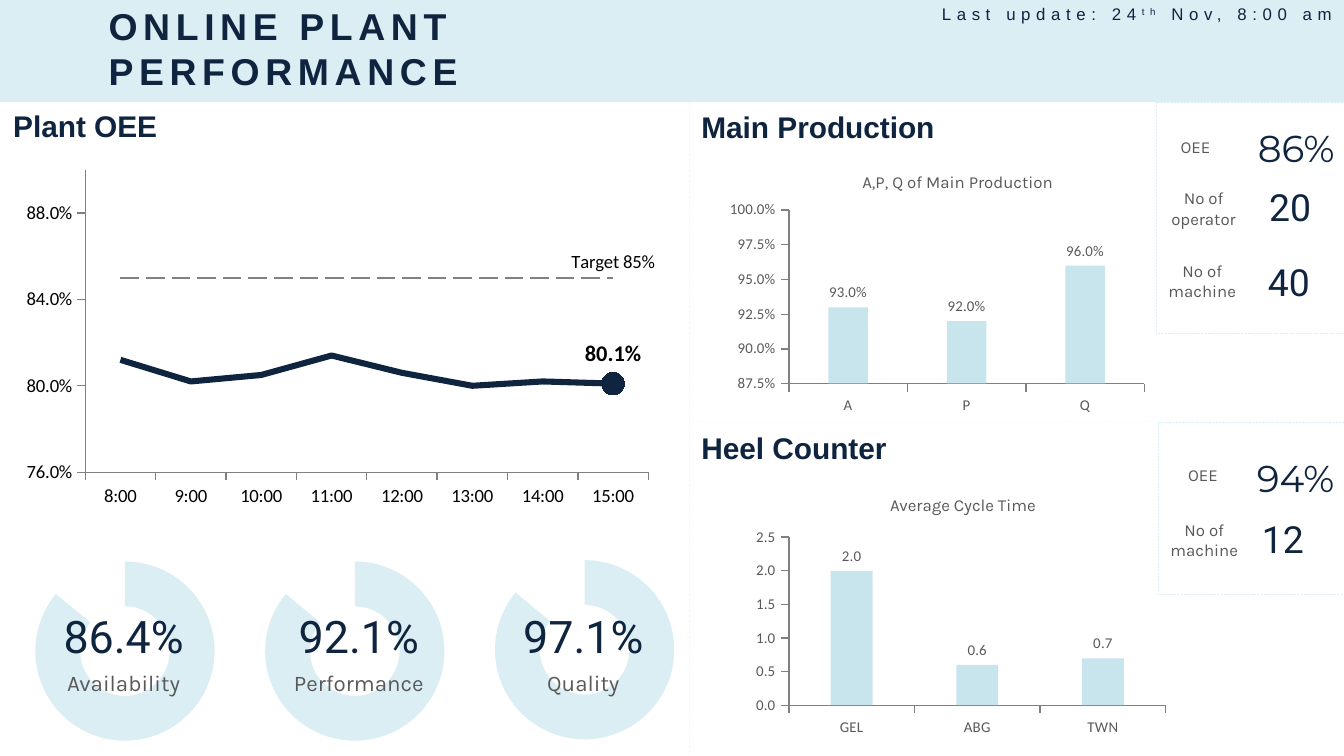
from lxml import etree
from pptx import Presentation
from pptx.chart.data import CategoryChartData
from pptx.dml.color import RGBColor
from pptx.enum.chart import XL_CHART_TYPE as Chart, XL_LABEL_POSITION as LabelPos
from pptx.enum.chart import XL_MARKER_STYLE as Marker, XL_TICK_MARK as Tick
from pptx.enum.dml import MSO_LINE as Dash
from pptx.enum.shapes import MSO_CONNECTOR as Connector, MSO_SHAPE as Shape
from pptx.enum.text import MSO_ANCHOR as Anchor, MSO_AUTO_SIZE as AutoSize, PP_ALIGN as Align
from pptx.oxml import parse_xml
from pptx.oxml.ns import nsdecls, qn
from pptx.util import Emu, Pt

PX = 9144  # 100 px to the inch
SLIDE_WIDTH = 1000
NAVY, GRAY = RGBColor(0x0F, 0x24, 0x3E), RGBColor(0x59, 0x59, 0x59)
PALE, AQUA = RGBColor(0xDB, 0xEE, 0xF4), RGBColor(0x93, 0xCD, 0xDD)
BLACK, AXIS = RGBColor(0, 0, 0), RGBColor(0x80, 0x80, 0x80)

# Text styles: font name, size, colour, bold
STYLES = {
    "title": ("Arial", 20, NAVY, True),
    "heading": ("Arial", 16, NAVY, True),
    "update": ("Arial", 9, NAVY, False),
    "label": ("Karla", 9, GRAY, False),
    "number": ("Roboto", 20, NAVY, False),
    "percent": ("Montserrat", 20, NAVY, False),
    "gauge label": ("Karla", 12, GRAY, False),
    "gauge number": ("Roboto", 24, NAVY, False),
}

# Gauges: caption, value, text left, ring left, ring top
GAUGES = [("Availability", "86.4%", 13, -89, 404),
          ("Performance", "92.1%", 188, 82, 404),
          ("Quality", "97.1%", 355, 253, 403)]
RING = (86, 0, 0, 0, 14)

HEADINGS = [("Plant OEE", (0, 75, 192, 37)),
            ("Main Production", (512, 76, 312, 37)),
            ("Heel Counter", (512, 315, 448, 37))]

# Times of day as fractions of a day
TIMES = [hour / 24 for hour in range(8, 16)]
OEE = (0.812, 0.802, 0.805, 0.814, 0.806, 0.8, 0.802, 0.801)
TARGET = 0.85

# Column charts: box, plot area, number format, overlap, axis (min, max, step), values
COLUMNS = [
    ((543, 384, 338, 174), (0.13, 0.09, 0.83, 0.72), "0.0", 0, (0, 2.5, 0.5),
     {"GEL": 2.0, "ABG": 0.6, "TWN": 0.7}),
    ((543, 143, 309, 166), (0.14, 0.08, 0.86, 0.78), "0.0%", 3, (0.875, 1, 0.025),
     {"A": 0.93, "P": 0.92, "Q": 0.96}),
]
COLUMN_TITLES = [("A,P, Q of Main Production", (606, 123, 213, 25)),
                 ("Average Cycle Time ", (591, 363, 254, 25))]

# Side panels: caption, caption box, value, value style, value box
FACTS = [
    ("OEE", (846, 97, 87, 25), "86%", "percent", (920, 88, 89, 44)),
    ("No of operator", (846, 135, 99, 40), "20", "number", (919, 132, 82, 44)),
    ("No of machine", (844, 189, 101, 40), "40", "number", (911, 188, 96, 44)),
    ("OEE", (824, 341, 142, 25), "94%", "percent", (893, 334, 142, 44)),
    ("No of machine", (846, 382, 100, 40), "12", "number", (919, 379, 71, 44)),
]
PANELS = [(860, 76, 140, 172), (862, 314, 140, 128)]
DIVIDERS = [((513, 75, 513, 564), Dash.LONG_DASH), ((1000, 314, 519, 314), Dash.DASH)]


def emu(box):
    return [Emu(length * PX) for length in box]


def apply(target, values):
    for name, value in values.items():
        setattr(target, name, value)


def add_text(shapes, text, box, style, align=Align.CENTER, anchor=Anchor.TOP, spacing=0):
    """Text is a string or a list of (string, baseline percent) runs."""
    frame = shapes.add_textbox(*emu(box)).text_frame
    apply(frame, {"word_wrap": True, "auto_size": AutoSize.SHAPE_TO_FIT_TEXT,
                  "vertical_anchor": anchor})
    paragraph = frame.paragraphs[0]
    paragraph.alignment = align
    runs = [(text, 0)] if isinstance(text, str) else text
    name, size, color, bold = STYLES[style]
    for content, baseline in runs:
        for index, line in enumerate(content.split("\n")):
            if index:
                paragraph.add_line_break()
            run = paragraph.add_run()
            run.text = line
            apply(run.font, {"name": name, "size": Pt(size), "bold": bold})
            run.font.color.rgb = color
            for key, value in (("spc", spacing * 100), ("baseline", baseline * 1000)):
                if value:
                    run._r.get_or_add_rPr().set(key, str(value))


def set_alpha(element, percent):
    for color in element.iter(qn("a:srgbClr")):
        etree.SubElement(color, qn("a:alpha")).set("val", str(percent * 1000))


def set_line(line, color, width, dash=None):
    line.color.rgb = color
    line.width = Pt(width)
    if dash:
        line.dash_style = dash


def add_chart(kind, box, categories, series, number_format="General", size=10, color=BLACK,
              category_format=None):
    data = CategoryChartData(number_format=number_format)
    data.categories = categories
    if category_format:
        data.categories.number_format = category_format
    for name, values in series.items():
        data.add_series(name, values)
    chart = slide.shapes.add_chart(kind, *emu(box), data).chart
    apply(chart, {"has_legend": False, "has_title": False})
    apply(chart.font, {"name": "Calibri", "size": Pt(size)})
    chart.font.color.rgb = color
    return chart


def set_axes(chart, plot, limits, number_format):
    low, high, step = limits
    apply(chart.value_axis, {"minimum_scale": low, "maximum_scale": high, "major_unit": step})
    apply(chart.value_axis.tick_labels,
          {"number_format": number_format, "number_format_is_linked": False})
    for axis in (chart.category_axis, chart.value_axis):
        apply(axis, {"has_major_gridlines": False, "major_tick_mark": Tick.OUTSIDE,
                     "minor_tick_mark": Tick.NONE})
        set_line(axis.format.line, AXIS, 0.75)
    parts = "".join(f'<c:{key} val="{value}"/>' for key, value in zip("xywh", plot))
    layout = parse_xml(
        f'<c:layout {nsdecls("c")}><c:manualLayout><c:layoutTarget val="inner"/>'
        f'<c:xMode val="edge"/><c:yMode val="edge"/>{parts}</c:manualLayout></c:layout>')
    # The layout is the first child of the plot area
    area = chart._chartSpace.find(".//" + qn("c:plotArea"))
    for old in area.findall(qn("c:layout")):
        area.remove(old)
    area.insert(0, layout)


presentation = Presentation()
presentation.slide_width = Emu(SLIDE_WIDTH * PX)
presentation.slide_height = Emu(SLIDE_WIDTH * PX * 9 // 16)
slide = presentation.slides.add_slide(presentation.slide_layouts[6])

# Gauge rings
for caption, value, text_left, ring_left, ring_top in reversed(GAUGES):
    ring = add_chart(Chart.DOUGHNUT, (ring_left, ring_top, 364, 161), list("12345"),
                     {"Series 1": RING})
    ring.plots[0].vary_by_categories = True
    ring._chartSpace.find(".//" + qn("c:holeSize")).set("val", "70")
    for index, share in enumerate(RING):
        point = ring.plots[0].series[0].points[index]
        point.format.line.fill.background()
        if index:
            point.format.fill.background()
        else:
            point.format.fill.solid()
            point.format.fill.fore_color.rgb = PALE

# Header
header = slide.shapes.add_shape(Shape.RECTANGLE, *emu((0, 0, 1000, 76)))
header.shadow.inherit = False
header.fill.solid()
header.fill.fore_color.rgb = PALE
header.line.fill.background()
add_text(slide.shapes, "ONLINE PLANT \nPERFORMANCE", (71, -3, 937, 77), "title",
         Align.LEFT, Anchor.MIDDLE, 3)
add_text(slide.shapes, [("Last update: 24", 0), ("th", 30), (" Nov, 8:00 am", 0)],
         (691, -2, 334, 25), "update", Align.LEFT, Anchor.MIDDLE, 3)

# Plant OEE line chart
trend = add_chart(Chart.LINE, (-3, 113, 511, 268), TIMES,
                  {"Series 1": OEE, "Series 2": [TARGET] * len(TIMES)}, "0.0%",
                  category_format="h:mm")
set_axes(trend, (0.13, 0.05, 0.82, 0.84), (0.76, 0.9, 0.04), "0.0%")
apply(trend.category_axis.tick_labels,
      {"number_format": "h:mm", "number_format_is_linked": False})
trend.plots[0].vary_by_categories = False
actual, target = trend.plots[0].series
for series, line in ((actual, (NAVY, 3.25)), (target, (AXIS, 1.25, Dash.LONG_DASH))):
    series.smooth = False
    series.marker.style = Marker.NONE
    set_line(series.format.line, *line)
last = actual.points[len(TIMES) - 1]
set_line(last.format.line, NAVY, 3.25)
apply(last.marker, {"style": Marker.CIRCLE, "size": 12})
last.marker.format.fill.solid()
last.marker.format.fill.fore_color.rgb = NAVY
last.marker.format.line.color.rgb = NAVY
apply(last.data_label.font, {"size": Pt(12), "bold": True})
last.data_label.position = LabelPos.ABOVE
target_label = target.points[len(TIMES) - 1].data_label
target_label.text_frame.text = f"Target {TARGET:.0%}"
target_label.position = LabelPos.ABOVE

# Gauge texts
for caption, value, left, *_ in GAUGES:
    group = slide.shapes.add_group_shape()
    add_text(group.shapes, caption, (left, 493, 158, 30), "gauge label")
    add_text(group.shapes, value, (left, 448, 158, 50), "gauge number")

# Section headings and column charts
for text, box in HEADINGS:
    add_text(slide.shapes, text, box, "heading", Align.LEFT)
for text, box in COLUMN_TITLES:
    add_text(slide.shapes, text, box, "label")
for box, plot, number_format, overlap, limits, values in COLUMNS:
    chart = add_chart(Chart.COLUMN_CLUSTERED, box, list(values),
                      {"Series 1": list(values.values())}, number_format, 8, GRAY)
    set_axes(chart, plot, limits, number_format)
    columns = chart.plots[0]
    apply(columns, {"vary_by_categories": False, "gap_width": 200, "overlap": overlap,
                    "has_data_labels": True})
    apply(columns.data_labels, {"show_value": True, "number_format": number_format,
                                "number_format_is_linked": False,
                                "position": LabelPos.OUTSIDE_END})
    fill = columns.series[0].format.fill
    fill.solid()
    fill.fore_color.rgb = AQUA
    set_alpha(columns.series[0]._element.find(qn("c:spPr")), 50)

# Side panels
for caption, caption_box, value, style, value_box in FACTS:
    add_text(slide.shapes, caption, caption_box, "label")
    add_text(slide.shapes, value, value_box, style)
for box in PANELS:
    panel = slide.shapes.add_shape(Shape.RECTANGLE, *emu(box))
    panel.shadow.inherit = False
    panel.fill.background()
    set_line(panel.line, PALE, 0.25, Dash.DASH)

# Dividers
for ends, dash in DIVIDERS:
    divider = slide.shapes.add_connector(Connector.STRAIGHT, *emu(ends))
    set_line(divider.line, PALE, 0.25, dash)
    properties = divider._element.spPr
    set_alpha(properties, 50)
    etree.SubElement(properties, qn("a:effectLst"))

presentation.save("out.pptx")
